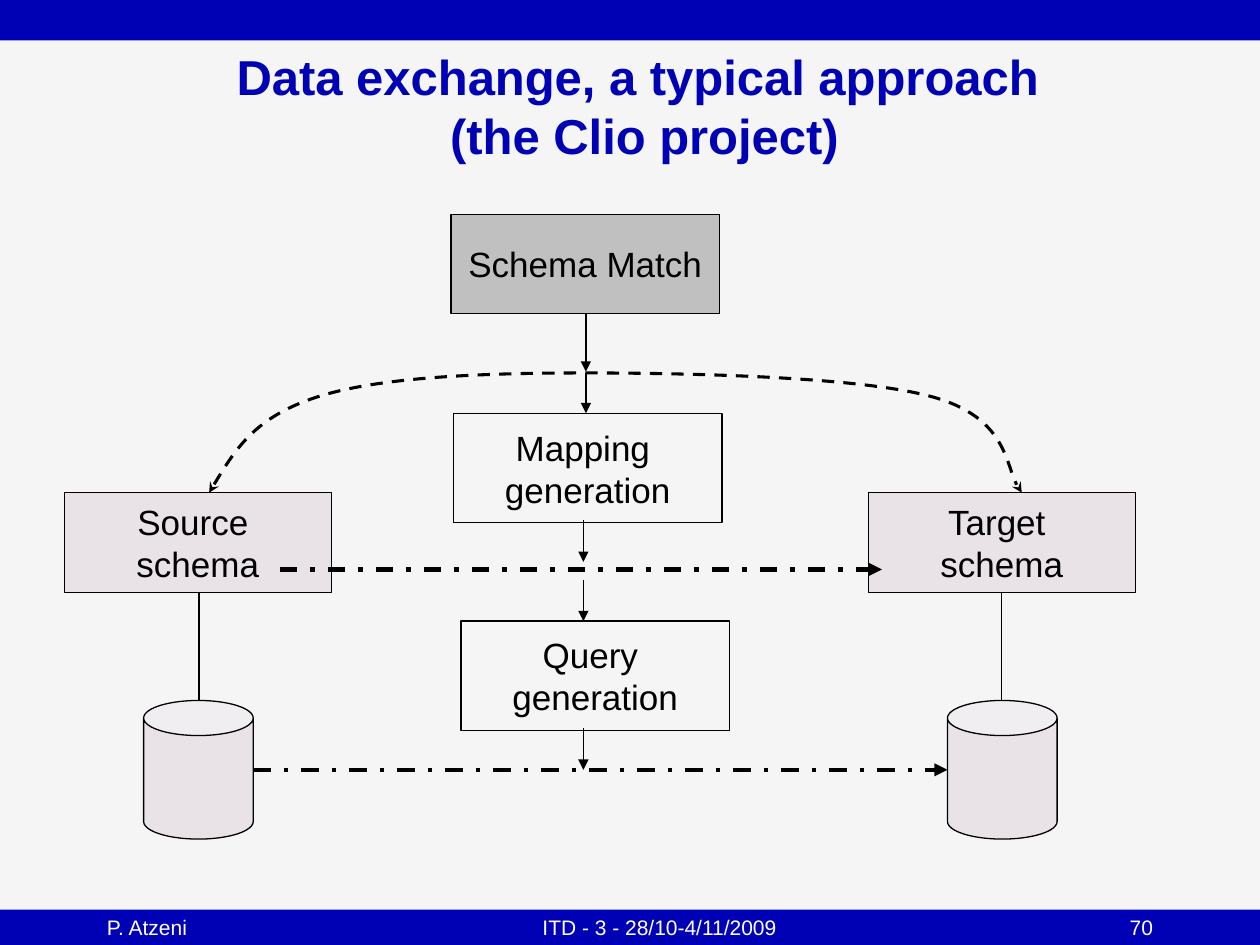
import pptx
import pptx.util
import pptx.dml.color
import pptx.enum.dml
import pptx.enum.shapes
import pptx.enum.text
import pptx.oxml.ns
import lxml.etree

Inches = pptx.util.Inches
RGB = pptx.dml.color.RGBColor
KIND = pptx.enum.shapes.MSO_SHAPE
LINK = pptx.enum.shapes.MSO_CONNECTOR
DASH = pptx.enum.dml.MSO_LINE
ALIGN = pptx.enum.text.PP_ALIGN
qn = pptx.oxml.ns.qn

BLUE = RGB(0x00, 0x00, 0xB4)
BLACK = RGB(0x00, 0x00, 0x00)
WHITE = RGB(0xFF, 0xFF, 0xFF)
PAPER = RGB(0xF5, 0xF5, 0xF5)
GREY = RGB(0xC0, 0xC0, 0xC0)
MAUVE = RGB(0xE9, 0xE3, 0xE8)


def write(shape, text, size=20, color=BLACK, bold=False, align=ALIGN.CENTER, wrap=False):
    frame = shape.text_frame
    frame.text = text
    frame.word_wrap = wrap
    frame.vertical_anchor = pptx.enum.text.MSO_ANCHOR.MIDDLE
    for para in frame.paragraphs:
        para.alignment = align
        for run in para.runs:
            run.font.name = "Arial"
            run.font.size = pptx.util.Pt(size)
            run.font.bold = bold
            run.font.color.rgb = color


def stroke(shape, width=0.75, dash=None, head=None, tail=None):
    line = shape.line
    line.color.rgb = BLACK
    line.width = pptx.util.Pt(width)
    if dash:
        line.dash_style = dash
    props = shape._element.spPr
    for tag, tip in (("a:headEnd", head), ("a:tailEnd", tail)):
        if tip:
            lxml.etree.SubElement(props.find(qn("a:ln")), qn(tag), type=tip)
    if props.find(qn("a:effectLst")) is None:
        lxml.etree.SubElement(props, qn("a:effectLst"))


deck = pptx.Presentation()
deck.slide_width, deck.slide_height = Inches(10), Inches(7.5)
slide = deck.slides.add_slide(deck.slide_layouts[6])
slide.background.fill.solid()
slide.background.fill.fore_color.rgb = PAPER
shapes = slide.shapes

# Top and bottom bands
for top, high in ((7.22, 0.28), (0, 0.32)):
    band = shapes.add_shape(KIND.RECTANGLE, 0, Inches(top), Inches(10), Inches(high))
    band.shadow.inherit = False
    band.fill.solid()
    band.fill.fore_color.rgb = BLUE
    band.line.fill.background()

# Footer
for left, wide, text, align in (
    (0.75, 2.52, "P. Atzeni", ALIGN.LEFT),
    (1.93, 6.61, "ITD - 3 - 28/10-4/11/2009", ALIGN.CENTER),
    (7.91, 1.34, "70", ALIGN.RIGHT),
):
    foot = shapes.add_textbox(Inches(left), Inches(7.22), Inches(wide), Inches(0.28))
    write(foot, text, size=12, color=WHITE, align=align, wrap=True)

# Title
title = shapes.add_textbox(Inches(0.43), Inches(0.25), Inches(9.37), Inches(1.17))
write(title, "Data exchange, a typical approach \v(the Clio project)",
      size=28, color=BLUE, bold=True, wrap=True)

# Process steps, schemas and databases
for kind, left, top, wide, high, fill, text in (
    (KIND.RECTANGLE, 3.58, 1.7, 2.13, 0.79, GREY, "Schema Match"),
    (KIND.RECTANGLE, 3.6, 3.28, 2.13, 0.87, None, "Mapping \ngeneration"),
    (KIND.RECTANGLE, 3.66, 4.93, 2.13, 0.87, None, "Query \ngeneration"),
    (KIND.PARALLELOGRAM, 6.89, 3.91, 2.12, 0.79, MAUVE, "Target \nschema"),
    (KIND.PARALLELOGRAM, 0.51, 3.91, 2.12, 0.79, MAUVE, "Source \nschema"),
    (KIND.CAN, 1.14, 5.56, 0.87, 1.1, MAUVE, ""),
    (KIND.CAN, 7.52, 5.56, 0.87, 1.1, MAUVE, ""),
):
    box = shapes.add_shape(kind, Inches(left), Inches(top), Inches(wide), Inches(high))
    if kind == KIND.PARALLELOGRAM:
        box.adjustments[0] = 0
    elif kind == KIND.CAN:
        box.adjustments[0] = 0.32
    if fill:
        box.fill.solid()
        box.fill.fore_color.rgb = fill
    else:
        box.fill.background()
    stroke(box)
    if text:
        write(box, text)

# Dashed arc between the schemas: each three points make one Bezier piece
spots = [(1.66, 3.91),
         (1.84, 3.61), (2.02, 3.31), (2.52, 3.15),
         (3.02, 2.99), (3.84, 2.96), (4.65, 2.96),
         (5.46, 2.96), (6.83, 2.99), (7.4, 3.15),
         (7.98, 3.31), (7.99, 3.78), (8.11, 3.91)]
spots = [(Inches(x), Inches(y)) for x, y in spots]
pen = shapes.build_freeform(*spots[0])
pen.add_line_segments(spots[1:], close=False)
arc = pen.convert_to_shape()
arc.fill.background()
steps = list(arc._element.iter(qn("a:lnTo")))
for i in range(0, len(steps), 3):
    curve = lxml.etree.Element(qn("a:cubicBezTo"))
    steps[i].addprevious(curve)
    for step in steps[i:i + 3]:
        curve.append(step[0])
        step.getparent().remove(step)
stroke(arc, 1.75, DASH.DASH, head="stealth", tail="stealth")

# Thin arrows down the middle
for x, top, end in ((4.65, 2.49, 2.95), (4.65, 2.96, 3.28), (4.63, 4.13, 4.46),
                    (4.63, 4.6, 4.93), (4.63, 5.78, 6.11)):
    link = shapes.add_connector(LINK.STRAIGHT, Inches(x), Inches(top), Inches(x), Inches(end))
    stroke(link, tail="triangle")

# Schema to database lines
for x in (1.58, 7.95):
    link = shapes.add_connector(LINK.STRAIGHT, Inches(x), Inches(4.7), Inches(x), Inches(5.56))
    stroke(link)

# Heavy arrows from source to target
for kind, left, right, y in ((LINK.ELBOW, 2.22, 7, 4.52), (LINK.STRAIGHT, 2.01, 7.52, 6.11)):
    link = shapes.add_connector(kind, Inches(left), Inches(y), Inches(right), Inches(y))
    stroke(link, 2.5, DASH.DASH_DOT, tail="triangle")

deck.save("out.pptx")
